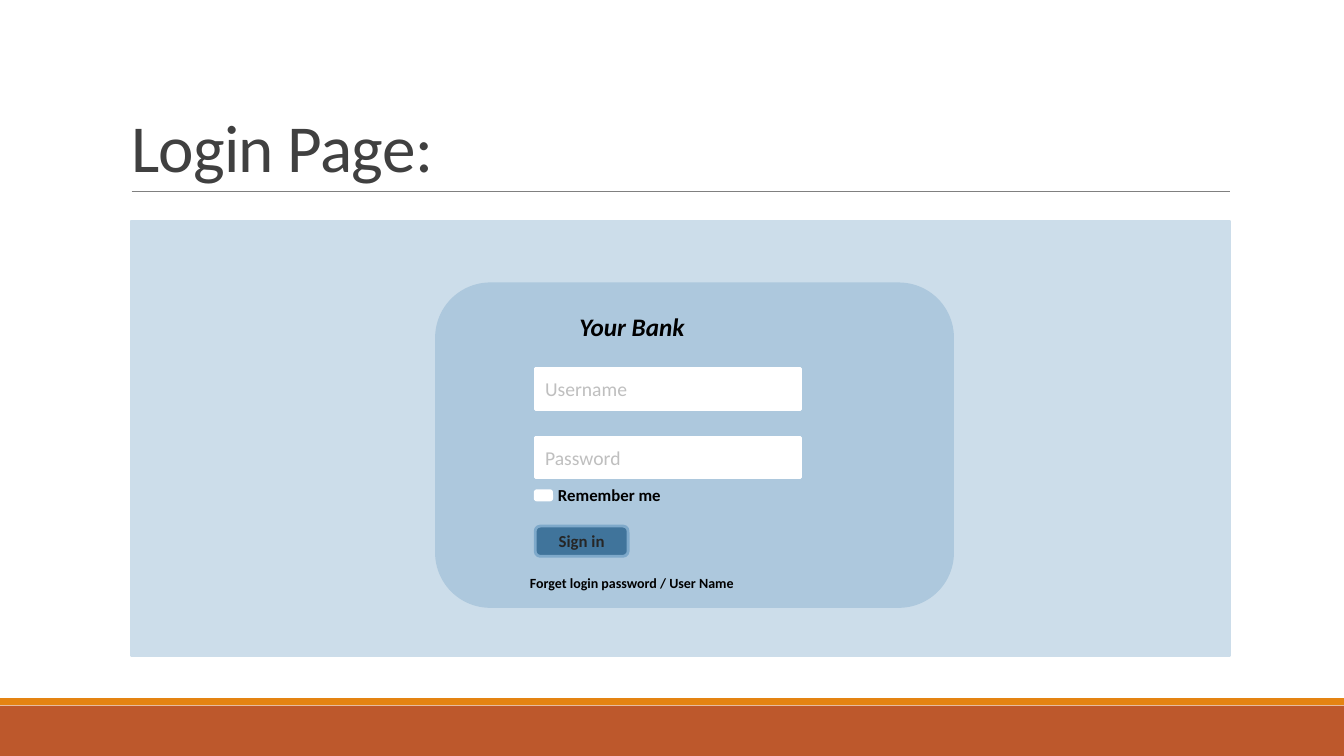
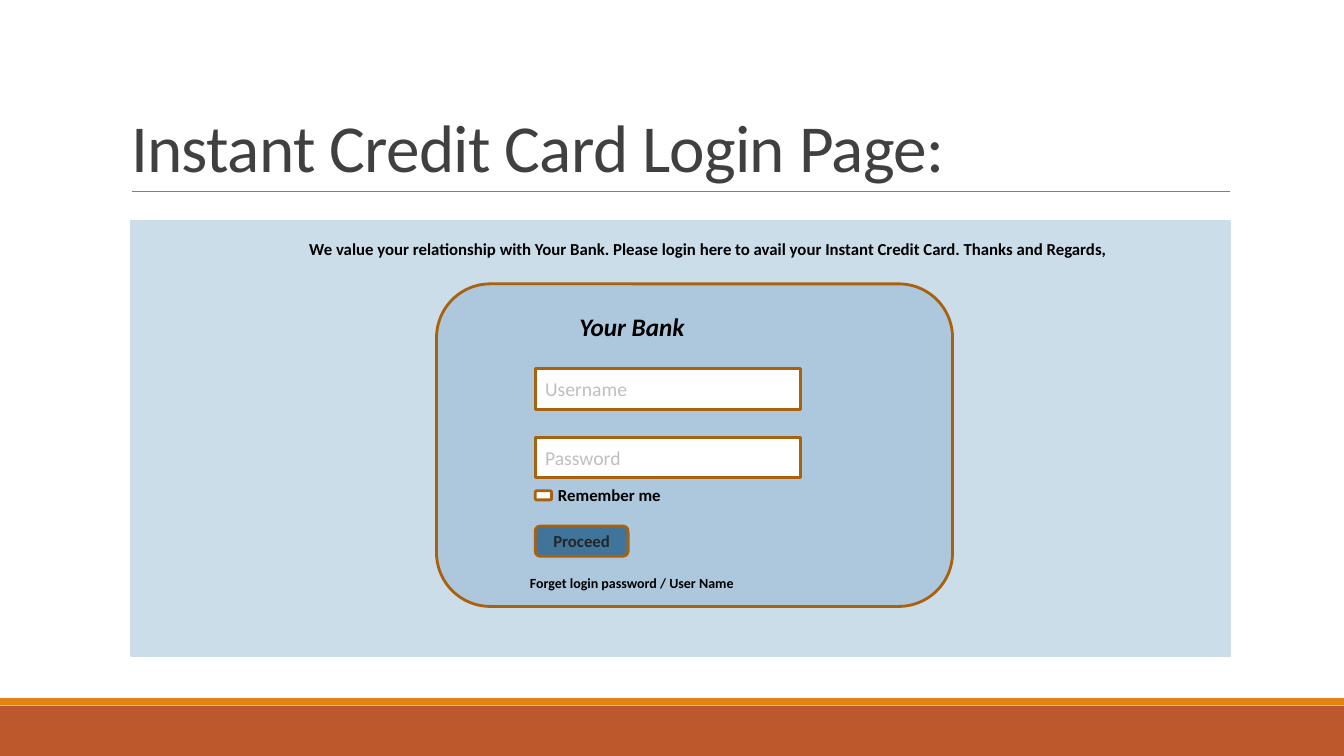
"""Build two mock-up slides of a bank login form."""
import pptx
import pptx.util
import pptx.dml.color
import pptx.enum.shapes
import pptx.enum.text
import pptx.oxml
import pptx.oxml.ns

Pt = pptx.util.Pt
RGB = pptx.dml.color.RGBColor
SHAPE = pptx.enum.shapes.MSO_SHAPE
ALIGN = pptx.enum.text.PP_ALIGN
ANCHOR = pptx.enum.text.MSO_ANCHOR
qn = pptx.oxml.ns.qn

FONT = "Calibri"
RUST = RGB(0xBD, 0x58, 0x2C)
ORANGE = RGB(0xE4, 0x83, 0x12)
RULE_GREY = RGB(0x80, 0x80, 0x80)
TITLE_GREY = RGB(0x40, 0x40, 0x40)
PAGE_BLUE = RGB(0xCC, 0xDD, 0xEA)
CARD_BLUE = RGB(0xAD, 0xC8, 0xDD)
BUTTON_BLUE = RGB(0x40, 0x74, 0x9B)
BUTTON_EDGE = RGB(0x7E, 0xA9, 0xCA)
BUTTON_TEXT = RGB(0x26, 0x26, 0x26)
HINT_GREY = RGB(0xBF, 0xBF, 0xBF)
BROWN = RGB(0xA9, 0x61, 0x0D)
WHITE = RGB(0xFF, 0xFF, 0xFF)
BLACK = RGB(0, 0, 0)

FORM_LEFT = 382.3
FIELD_TOP = 263.5
FIELD_STEP = 49


def draw(slide, kind, box, fill, edge=None):
    shape = slide.shapes.add_shape(kind, *map(Pt, box))
    shape.shadow.inherit = False
    shape.fill.solid()
    shape.fill.fore_color.rgb = fill
    if edge is None:
        shape.line.fill.background()
    else:
        shape.line.color.rgb = edge
        shape.line.width = Pt(2)
    return shape


def write(shape, text, size, color, bold=True, italic=False, align=ALIGN.LEFT):
    frame = shape.text_frame
    frame.word_wrap = True
    frame.text = text
    paragraph = frame.paragraphs[0]
    paragraph.alignment = align
    font = paragraph.runs[0].font
    font.name, font.size, font.color.rgb = FONT, Pt(size), color
    font.bold, font.italic = bold, italic


pages = [
    ("Login Page:", "Sign in", None, None),
    ("Instant Credit Card Login Page:", "Proceed", BROWN,
     "We value your relationship with Your Bank. Please login here to avail "
     "your Instant Credit Card. Thanks and Regards,"),
]
labels = [
    ("Your Bank", (406.8, 218.9, 121.7, 28.8), 18, True),
    ("Remember me", (391.5, 342.7, 91.5, 21.6), 12, False),
    ("Forget login password / User Name", (371.5, 406.8, 189.4, 19.4), 10, False),
]

deck = pptx.Presentation()
deck.slide_width, deck.slide_height = Pt(960), Pt(540)
layout = deck.slide_layouts[5]
slides = [deck.slides.add_slide(layout) for page in pages]

for placeholder in list(layout.placeholders):
    if placeholder.placeholder_format.idx == 0:
        placeholder.left, placeholder.top = Pt(86.4), Pt(22.6)
        placeholder.width, placeholder.height = Pt(792), Pt(114.2)
        placeholder.text_frame.vertical_anchor = ANCHOR.BOTTOM
    else:
        layout.shapes.element.remove(placeholder.element)

rust_band = draw(slides[0], SHAPE.RECTANGLE, (0, 504, 960, 36), RUST)
orange_band = draw(slides[0], SHAPE.RECTANGLE, (0, 498.75, 960, 5.05), ORANGE)
title_rule = slides[0].shapes.add_connector(
    pptx.enum.shapes.MSO_CONNECTOR.STRAIGHT, Pt(94), Pt(136.8), Pt(878.8), Pt(136.8))
title_rule.line.color.rgb = RULE_GREY
title_rule.line.width = Pt(0.5)
title_rule.element.spPr.append(pptx.oxml.parse_xml(
    '<a:effectLst xmlns:a="http://schemas.openxmlformats.org/drawingml/2006/main"/>'))
for part in (rust_band, orange_band, title_rule):
    layout.shapes.element.append(part.element)

for slide, (heading, action, outline, greeting) in zip(slides, pages):
    title = slide.shapes.title
    write(title, heading, 48, TITLE_GREY, bold=False)
    title.text_frame.auto_size = pptx.enum.text.MSO_AUTO_SIZE.NONE
    title.text_frame.paragraphs[0].line_spacing = 0.85
    for run_style in title.element.iter(qn("a:rPr")):
        run_style.set("spc", "-50")

    draw(slide, SHAPE.RECTANGLE, (93.6, 157.9, 785, 310.5), PAGE_BLUE, PAGE_BLUE)
    draw(slide, SHAPE.ROUNDED_RECTANGLE, (311.8, 202.8, 368.6, 230.4),
         CARD_BLUE, outline or CARD_BLUE)

    for row, hint in enumerate(("Username", "Password")):
        field = draw(slide, SHAPE.RECTANGLE,
                     (FORM_LEFT, FIELD_TOP + row * FIELD_STEP, 189.4, 28.8),
                     WHITE, outline or WHITE)
        write(field, hint, 14, HINT_GREY, bold=False)

    draw(slide, SHAPE.ROUNDED_RECTANGLE, (FORM_LEFT, 350.6, 11.7, 6.5),
         WHITE, outline or WHITE)
    button = draw(slide, SHAPE.ROUNDED_RECTANGLE, (FORM_LEFT, 375.8, 66.4, 21.6),
                  BUTTON_BLUE, outline or BUTTON_EDGE)
    write(button, action, 12, BUTTON_TEXT, align=ALIGN.CENTER)

    notices = [(greeting, (213.8, 167, 598.3, 21.6), 12, False)] if greeting else []
    for text, box, size, italic in labels + notices:
        write(slide.shapes.add_textbox(*map(Pt, box)), text, size, BLACK, italic=italic)

deck.save("out.pptx")
